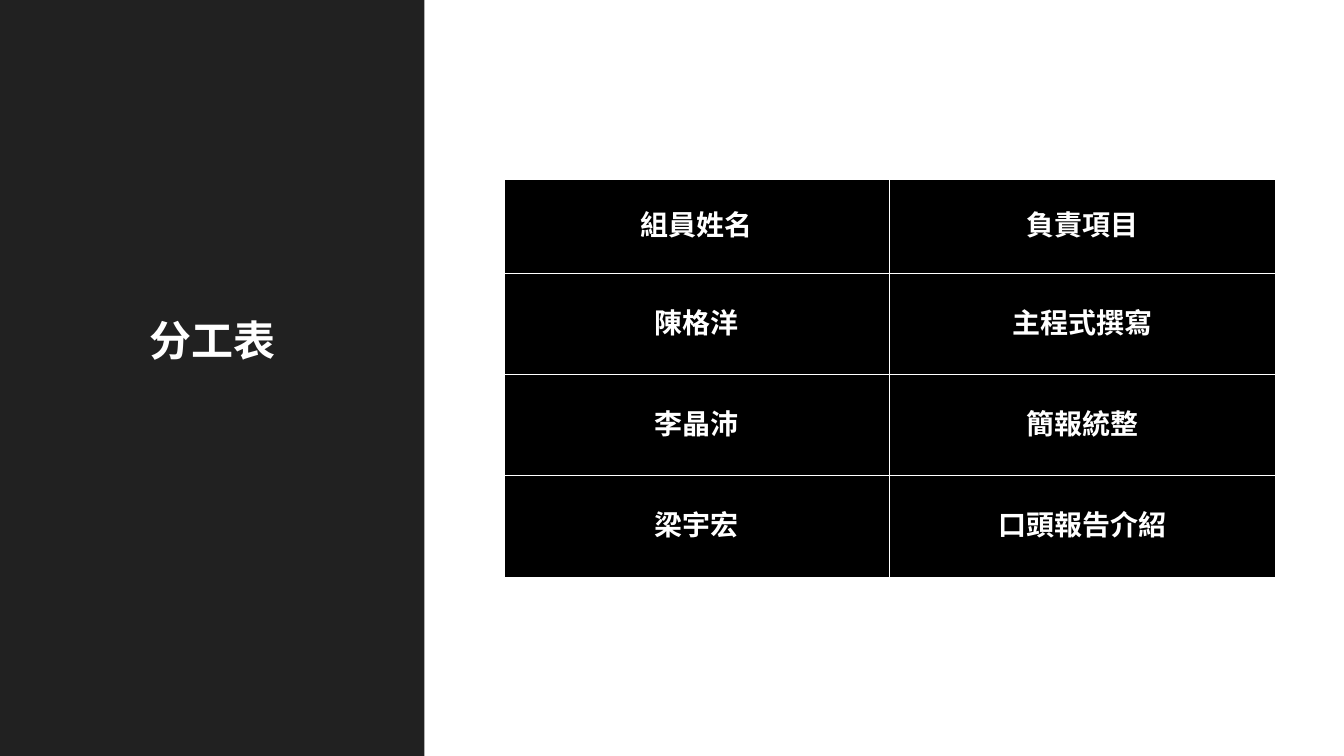
import pptx
import pptx.util
import pptx.dml.color
import pptx.enum.shapes
import pptx.enum.text
import pptx.oxml.ns
from lxml import etree

Inches, Pt = pptx.util.Inches, pptx.util.Pt
ALIGN, ANCHOR = pptx.enum.text.PP_ALIGN, pptx.enum.text.MSO_ANCHOR
qn = pptx.oxml.ns.qn
WHITE, BLACK, PANEL = "FFFFFF", "000000", "212121"


def color(hex_value):
    return pptx.dml.color.RGBColor.from_string(hex_value)


def add_text(tf, text, size, font):
    p = tf.paragraphs[0]
    p.alignment = ALIGN.CENTER
    r = p.add_run()
    r.text = text
    r.font.size = Pt(size)
    r.font.name = font
    r.font.bold = True
    r.font.color.rgb = color(WHITE)
    # East Asian characters use the same font
    etree.SubElement(r.font._element, qn("a:ea"), typeface=font)


prs = pptx.Presentation()
prs.slide_width, prs.slide_height = Inches(26.67), Inches(15)
s = prs.slides.add_slide(prs.slide_layouts[6])
s.background.fill.solid()
s.background.fill.fore_color.rgb = color(WHITE)

# Dark side panel
panel_width = Inches(8.42)
sp = s.shapes.add_shape(pptx.enum.shapes.MSO_SHAPE.RECTANGLE,
                        0, 0, panel_width, prs.slide_height)
sp.shadow.inherit = False
sp.fill.solid()
sp.fill.fore_color.rgb = color(PANEL)
sp.line.fill.background()

# Title, centred across the panel
title_width = Inches(2.64)
title = s.shapes.add_textbox((panel_width - title_width) // 2, Inches(6.17),
                             title_width, Inches(1.12))
tf = title.text_frame
tf.word_wrap = False
tf.auto_size = pptx.enum.text.MSO_AUTO_SIZE.SHAPE_TO_FIT_TEXT
tf.vertical_anchor = ANCHOR.MIDDLE
tf.margin_left = tf.margin_right = tf.margin_top = tf.margin_bottom = Inches(0.06)
add_text(tf, "分工表", 60, "Noto Sans CJK SC")

# Table of members and their tasks
duties = [
    ("組員姓名", "負責項目"),
    ("陳格洋", "主程式撰寫"),
    ("李晶沛", "簡報統整"),
    ("梁宇宏", "口頭報告介紹"),
]
head_height, row_height = 1.87, 2.01
table = s.shapes.add_table(len(duties), 2, Inches(10), Inches(3.55), Inches(15.3),
                           Inches(head_height + 3 * row_height)).table
for i, duty in enumerate(duties):
    table.rows[i].height = Inches(row_height if i else head_height)
    for j, text in enumerate(duty):
        cell = table.cell(i, j)
        cell.vertical_anchor = ANCHOR.MIDDLE
        add_text(cell.text_frame, text, 40, "Roboto")
        # Thin white borders on all four sides
        for side in ("a:lnL", "a:lnR", "a:lnT", "a:lnB"):
            ln = etree.SubElement(cell._tc.get_or_add_tcPr(), qn(side), w=str(Pt(1)))
            fill = etree.SubElement(ln, qn("a:solidFill"))
            etree.SubElement(fill, qn("a:srgbClr"), val=WHITE)
        cell.fill.solid()
        cell.fill.fore_color.rgb = color(BLACK)

prs.save("out.pptx")
